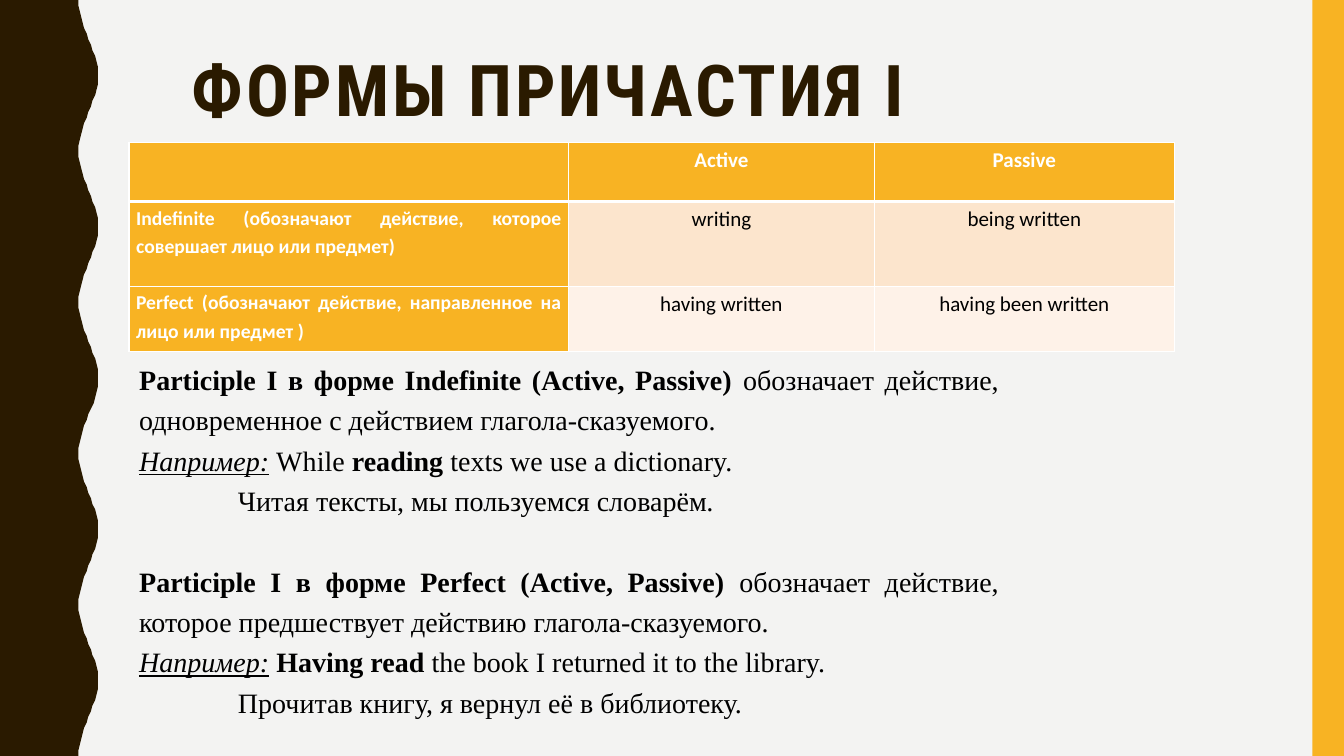
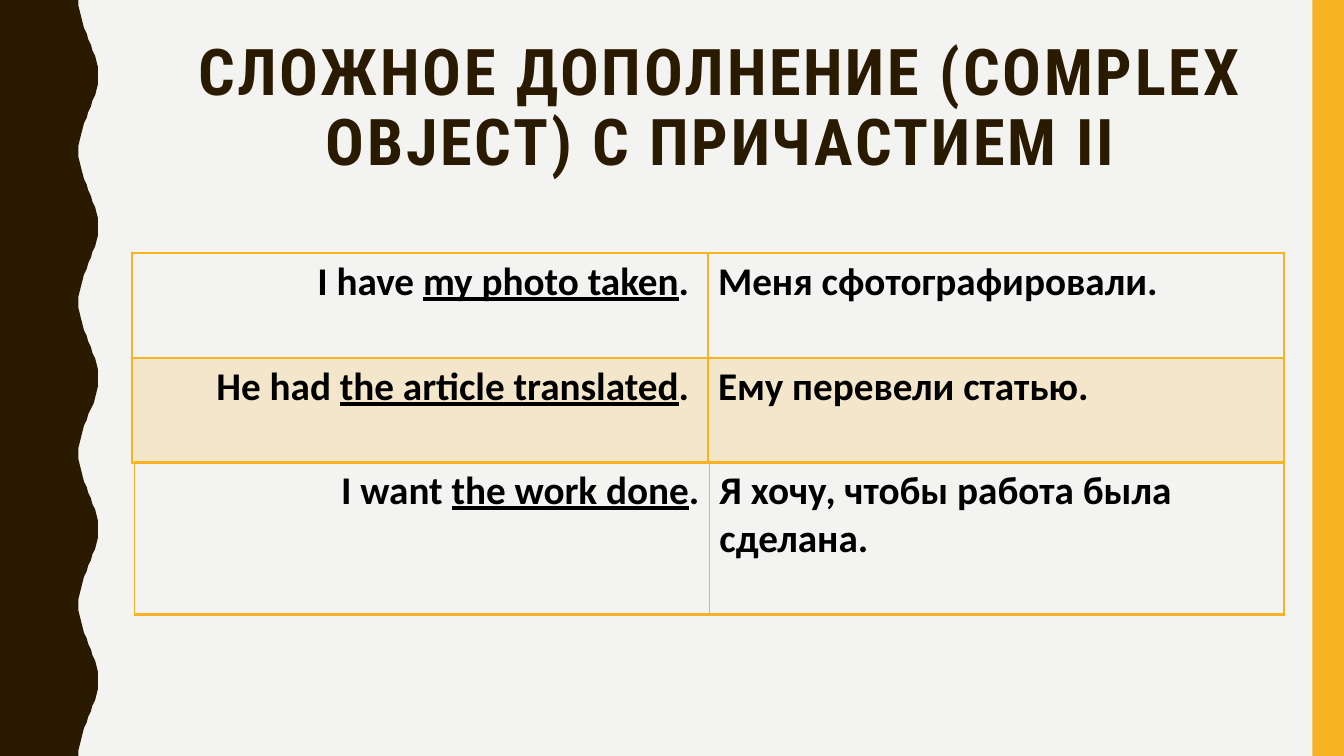
from math import cos, pi

from lxml.etree import SubElement
from pptx import Presentation
from pptx.dml.color import RGBColor
from pptx.enum.shapes import MSO_SHAPE
from pptx.enum.text import MSO_ANCHOR, MSO_AUTO_SIZE, PP_ALIGN
from pptx.oxml.ns import qn
from pptx.util import Pt

WIDE, HIGH = 960, 540
HUES = {
    "page": "F3F3F2",
    "dark": "2A1A00",
    "gold": "F8B323",
    "white": "FFFFFF",
    "black": "000000",
    "peach": "FCE5CD",
    "cream": "FEF2E8",
    "sand": "F4E6CA",
}
INK = {name: RGBColor.from_string(code) for name, code in HUES.items()}


def write(para, parts, face, size, ink, align, lead=1.0):
    para.alignment = align
    para.line_spacing = lead
    para.space_before = Pt(0)
    for text, marks in parts:
        run = para.add_run()
        run.text = text
        font = run.font
        font.name, font.size = face, Pt(size)
        font.color.rgb = INK[ink]
        font.bold = "b" in marks
        font.italic = "i" in marks
        font.underline = "u" in marks


def grid(page, left, top, cols, rows, ink, rules):
    frame = page.shapes.add_table(
        len(rows), len(cols), Pt(left), Pt(top), Pt(sum(cols)), Pt(sum(rows)))
    table = frame.table
    table.first_row = table.horz_banding = False
    for col, width in zip(table.columns, cols):
        col.width = Pt(width)
    for r, height in enumerate(rows):
        table.rows[r].height = Pt(height)
        for cell in table.rows[r].cells:
            props = cell._tc.get_or_add_tcPr()
            sides = {"L": 1, "R": 1, "T": rules[r], "B": rules[r + 1]}
            for side, width in sides.items():
                line = SubElement(props, qn("a:ln" + side), w=str(Pt(width)))
                fill = SubElement(line, qn("a:solidFill"))
                SubElement(fill, qn("a:srgbClr"), val=HUES[ink])
            cell.fill.background()
    return table


deck = Presentation()
deck.slide_width, deck.slide_height = Pt(WIDE), Pt(HIGH)

heads = [
    (1, "ФОРМЫ ПРИЧАСТИЯ I", 51, (53.3, 35.3, 676.8, 72.7)),
    (5, "СЛОЖНОЕ ДОПОЛНЕНИЕ (COMPLEX OBJECT) С ПРИЧАСТИЕМ II", 46,
     (104.4, 25.2, 820.8, 57.6)),
]
pages = []
for kind, text, size, spot in heads:
    page = deck.slides.add_slide(deck.slide_layouts[kind])
    title = page.shapes.title
    title.left, title.top, title.width, title.height = map(Pt, spot)
    frame = title.text_frame
    frame.auto_size = MSO_AUTO_SIZE.NONE
    frame.vertical_anchor = MSO_ANCHOR.TOP
    para = frame.paragraphs[0]
    write(para, [(text, "b")], "Roboto Condensed", size, "dark", PP_ALIGN.CENTER, 0.9)
    para.runs[0]._r.get_or_add_rPr().set("spc", "200")
    pages.append(page)
forms, object_page = pages

master = deck.slide_master
master.background.fill.solid()
master.background.fill.fore_color.rgb = INK["page"]
pen = forms.shapes.build_freeform(0, 0, scale=Pt(1))
edge = [(63 - 7 * cos(2 * pi * y / 108), y) for y in range(0, HIGH + 1, 4)]
pen.add_line_segments(edge + [(0, HIGH)], close=True)
wave = pen.convert_to_shape()
stripe = forms.shapes.add_shape(
    MSO_SHAPE.RECTANGLE, Pt(937.5), 0, Pt(WIDE - 937.5), Pt(HIGH))
for spot, (band, ink) in enumerate([(wave, "dark"), (stripe, "gold")], 2):
    band.shadow.inherit = False
    band.fill.solid()
    band.fill.fore_color.rgb = INK[ink]
    band.line.fill.background()
    master.shapes.element.insert(spot, band.element)

cells = [
    ["", "Active", "Passive"],
    ["Indefinite (обозначают действие, которое совершает лицо или предмет)",
     "writing", "being written"],
    ["Perfect (обозначают действие, направленное на лицо или предмет )",
     "having written", "having been written"],
]
table = grid(forms, 92.2, 101.5, [314, 218.2, 214.6], [42.5, 60.5, 46.8],
             "white", [1, 3, 1, 1])
for r, row in enumerate(cells):
    for c, text in enumerate(row):
        cell = table.cell(r, c)
        head = r == 0 or c == 0
        cell.fill.solid()
        cell.fill.fore_color.rgb = INK["gold" if head else ["peach", "cream"][r - 1]]
        cell.margin_left = cell.margin_right = Pt(5)
        cell.margin_top = cell.margin_bottom = 0
        if text:
            write(cell.text_frame.paragraphs[0], [(text, "b" if head else "")],
                  "Calibri", 15 if c else 14, "white" if head else "black",
                  PP_ALIGN.CENTER if c else PP_ALIGN.JUSTIFY, 1.2)

rules = [
    (0, 0, [("Participle I в форме Indefinite (Active, Passive)", "b"),
            (" обозначает действие, одновременное с действием глагола-сказуемого.", "")]),
    (0, 0, [("Например:", "iu"), (" While ", ""), ("reading ", "b"),
            ("texts we use a dictionary.", "")]),
    (70.5, 0, [("Читая тексты, мы пользуемся словарём", ""), (".", "i")]),
    (0, 28.8, [("Participle I в форме Perfect (Active, Passive)", "b"),
               (" обозначает действие, которое предшествует действию глагола-сказуемого.", "")]),
    (0, 0, [("Например:", "iu"), (" ", ""), ("Having read", "b"),
            (" the book I returned it to the library.", "")]),
    (70.5, 0, [("Прочитав книгу, я вернул её в библиотеку.", "")]),
]
body = forms.placeholders[1]
body.left, body.top, body.width, body.height = map(Pt, (92.2, 250.6, 628.6, 267))
frame = body.text_frame
frame.auto_size = MSO_AUTO_SIZE.NONE
for n, (dent, gap, parts) in enumerate(rules):
    para = frame.add_paragraph() if n else frame.paragraphs[0]
    write(para, parts, "Times New Roman", 20, "black", PP_ALIGN.JUSTIFY, 1.2)
    para.space_before = Pt(gap)
    props = para._p.get_or_add_pPr()
    props.set("marL", str(Pt(dent)))
    props.set("indent", "0")
    SubElement(props, qn("a:buNone"))

pairs = [
    ("I have ", "my photo taken", ". ", "Меня сфотографировали."),
    ("He had ", "the article translated", ". ", "Ему перевели статью."),
    ("I want ", "the work done", ".", "Я хочу, чтобы работа была сделана."),
]
upper = grid(object_page, 94.3, 180.7, [411.4] * 2, [75] * 2, "gold", [1, 2, 1])
lower = grid(object_page, 96.3, 330, [410.4] * 2, [109], "gold", [1, 2])
for row, (start, mark, end, gloss) in zip([*upper.rows, *lower.rows], pairs):
    left, right = row.cells
    write(left.text_frame.paragraphs[0], [(start, "b"), (mark, "bu"), (end, "b")],
          "Calibri", 28, "black", PP_ALIGN.RIGHT)
    write(right.text_frame.paragraphs[0], [(gloss, "b")],
          "Calibri", 28, "black", PP_ALIGN.LEFT)
for cell in upper.rows[1].cells:
    cell.fill.solid()
    cell.fill.fore_color.rgb = INK["sand"]

deck.save("out.pptx")
